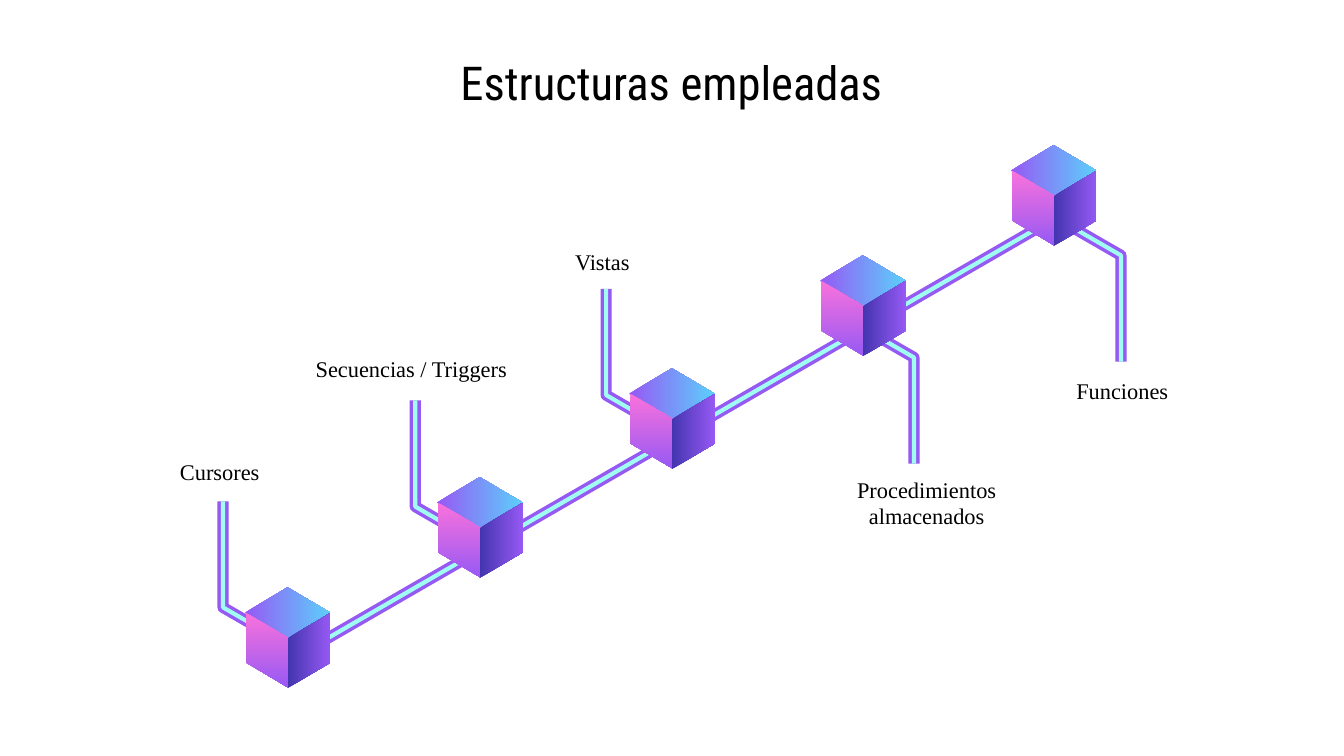
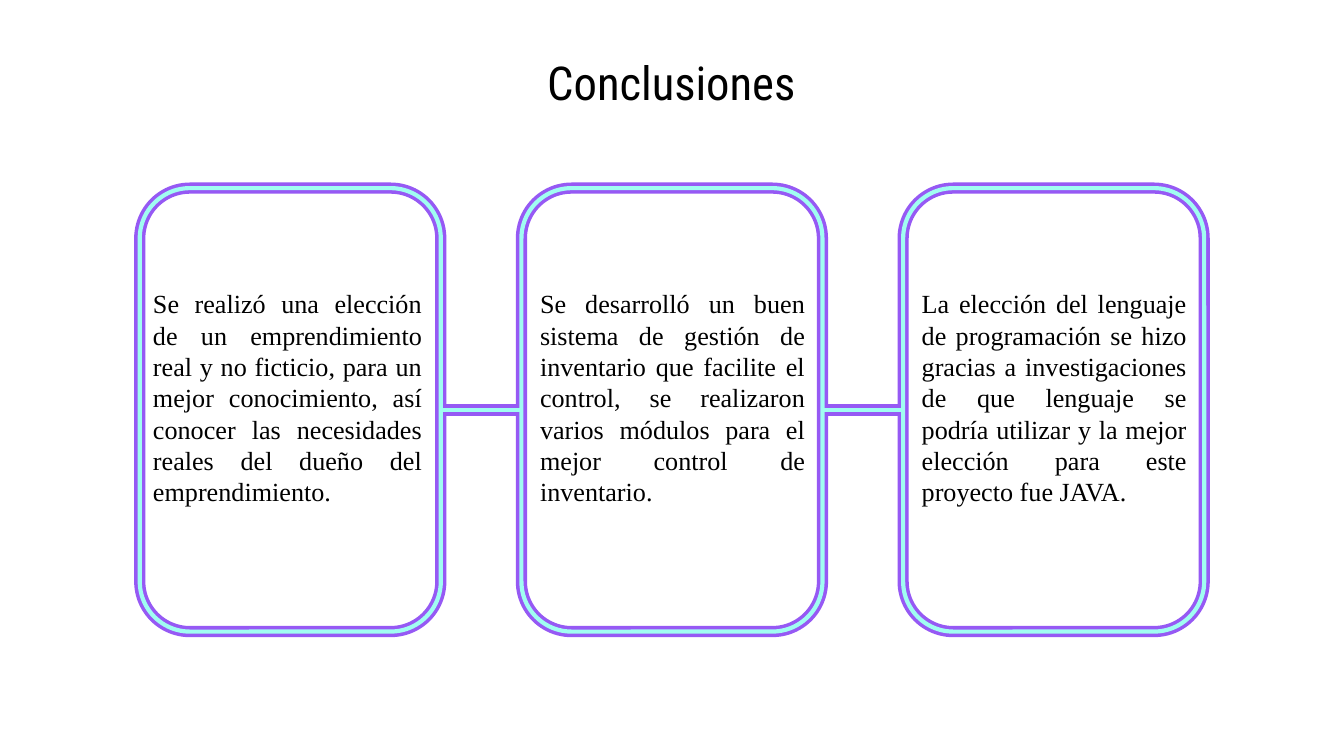
from lxml.etree import SubElement
from pptx import Presentation
from pptx.dml.color import RGBColor
from pptx.enum.shapes import MSO_CONNECTOR, MSO_SHAPE
from pptx.enum.text import MSO_ANCHOR, MSO_AUTO_SIZE, PP_ALIGN
from pptx.oxml.ns import qn
from pptx.util import Inches, Pt

# Content of the staircase: label, its box, alignment, tip of the branch, side, cube top
LEFT, RIGHT = 1, -1
STRUCTURES_TITLE = "Estructuras empleadas"
STRUCTURES = [
    ("Cursores", (1.24, 3.36, 0.99, 0.3), PP_ALIGN.LEFT,
     (1.66, 3.73), LEFT, (2.14, 4.37)),
    ("Secuencias / Triggers", (2.25, 2.59, 1.98, 0.3), PP_ALIGN.LEFT,
     (3.09, 2.98), LEFT, (3.57, 3.55)),
    ("Vistas", (4.18, 1.8, 0.99, 0.3), PP_ALIGN.LEFT,
     (4.51, 2.15), LEFT, (5, 2.74)),
    ("Procedimientos almacenados", (6.27, 3.49, 1.25, 0.5), PP_ALIGN.CENTER,
     (6.8, 3.45), RIGHT, (6.42, 1.9)),
    ("Funciones", (7.91, 2.76, 0.99, 0.3), PP_ALIGN.LEFT,
     (8.34, 2.69), RIGHT, (7.84, 1.08)),
]

# Content of the cards: text, left and width of its box
CONCLUSIONS_TITLE = "Conclusiones"
CONCLUSIONS = [
    ("Se realizó una elección de un emprendimiento real y no ficticio, para un "
     "mejor conocimiento, así conocer las necesidades reales del dueño del "
     "emprendimiento.", 1.04, 2.2),
    ("Se desarrolló un buen sistema de gestión de inventario que facilite el "
     "control, se realizaron varios módulos para el mejor control de inventario.",
     3.92, 2.17),
    ("La elección del lenguaje de programación se hizo gracias a investigaciones "
     "de que lenguaje se podría utilizar y la mejor elección para este proyecto "
     "fue JAVA.", 6.76, 2.17),
]

# Shared style
PAGE_WIDTH = 10
PAGE_HEIGHT = PAGE_WIDTH * 9 / 16
BLACK, VIOLET, MINT = "000000", "9659F4", "A0FDF1"
SKY, PINK, INDIGO = "5CCFFB", "FA72DC", "4335AF"
TUBE = [(VIOLET, 6), (MINT, 2.25)]  # wide line with a thin one on top
TITLE_FONT, BODY_FONT = "Roboto Condensed", "Times New Roman"
TITLE_BOX = (0.56, 0.33, 8.87, 0.56)

# Staircase of cubes; the left face reaches slightly under the right one
SPINE = ((7.82, 1.64), (2.09, 4.95))
HALF, SLOPE, EDGE, OVERLAP = 0.32, 0.19, 0.37, 0.01
CUBE_FACES = [  # outline, gradient colours, angle
    ([(0, 2 * SLOPE), (-HALF, SLOPE), (0, 0), (HALF, SLOPE)], (VIOLET, SKY), 0),
    ([(OVERLAP - HALF, SLOPE), (OVERLAP - HALF, SLOPE + EDGE),
      (OVERLAP, 2 * SLOPE + EDGE), (OVERLAP, 2 * SLOPE)], (PINK, VIOLET), 270),
    ([(HALF, SLOPE), (0, 2 * SLOPE), (0, 2 * SLOPE + EDGE), (HALF, SLOPE + EDGE)],
     (INDIGO, VIOLET), 0),
]
BRANCH_RUN, BRANCH_DROP, BRANCH_HEIGHT = 0.52, 0.79, 1.09

# Row of cards
CARD_LEFT, CARD_TOP, CARD_WIDTH, CARD_HEIGHT, CARD_STEP = 1.04, 1.4, 2.24, 3.3, 2.84
TEXT_TOP, TEXT_HEIGHT = 2.09, 1.75


def color(code):
    return RGBColor.from_string(code)


def lengths(values):
    return [Inches(value) for value in values]


def set_line(shape, code, width):
    shape.line.color.rgb = color(code)
    shape.line.width = Pt(width)


def write(box, text, font, size, align, **frame_format):
    frame = box.text_frame
    for name, value in {"word_wrap": True, **frame_format}.items():
        setattr(frame, name, value)
    para = frame.paragraphs[0]
    para.alignment = align
    span = para.add_run()
    span.text = text
    for name, value in {"name": font, "size": Pt(size), "bold": False}.items():
        setattr(span.font, name, value)
    span.font.color.rgb = color(BLACK)


def add_page(deck, title):
    page = deck.slides.add_slide(deck.slide_layouts[5])
    holder = page.shapes.title
    for name, value in zip(("left", "top", "width", "height"), lengths(TITLE_BOX)):
        setattr(holder, name, value)
    margins = {"margin_" + side: Inches(0.1) for side in ("left", "top", "right", "bottom")}
    write(holder, title, TITLE_FONT, 25, PP_ALIGN.CENTER, auto_size=MSO_AUTO_SIZE.NONE,
          vertical_anchor=MSO_ANCHOR.MIDDLE, **margins)
    return page


def add_text(page, text, place, size, align):
    box = page.shapes.add_textbox(*lengths(place))
    write(box, text, BODY_FONT, size, align, auto_size=MSO_AUTO_SIZE.SHAPE_TO_FIT_TEXT)


def add_outline(page, points, close):
    corners = [lengths(point) for point in points]
    builder = page.shapes.build_freeform(*corners[0])
    builder.add_line_segments(corners[1:], close=close)
    shape = builder.convert_to_shape()
    shape.shadow.inherit = False
    return shape


def add_line(page, start, end, code, width):
    line = page.shapes.add_connector(MSO_CONNECTOR.STRAIGHT, *lengths(start + end))
    set_line(line, code, width)
    SubElement(line._element.spPr, qn("a:effectLst"))
    return line


def add_branch(page, tip, side):
    x, y = tip
    points = [(x + side * BRANCH_RUN, y + side * BRANCH_HEIGHT),
              (x, y + side * BRANCH_DROP), tip]
    for code, width in TUBE:
        branch = add_outline(page, points, close=False)
        branch.fill.background()
        set_line(branch, code, width)


def add_cube(page, x, y):
    for corners, codes, angle in CUBE_FACES:
        face = add_outline(page, [(x + dx, y + dy) for dx, dy in corners], close=True)
        face.line.fill.background()
        face.fill.gradient()
        face.fill.gradient_angle = angle
        for stop, code in zip(face.fill.gradient_stops, codes):
            stop.color.rgb = color(code)


def add_card(page, left, code, width):
    card = page.shapes.add_shape(
        MSO_SHAPE.ROUNDED_RECTANGLE, *lengths((left, CARD_TOP, CARD_WIDTH, CARD_HEIGHT)))
    card.shadow.inherit = False
    card.fill.background()
    set_line(card, code, width)
    return card


def build_structures(deck):
    page = add_page(deck, STRUCTURES_TITLE)
    # Branches and spine lie behind the cubes
    for _, _, _, tip, side, _ in STRUCTURES:
        add_branch(page, tip, side)
    for code, width in TUBE:
        add_line(page, *SPINE, code, width)
    for label, place, align, _, _, cube_top in STRUCTURES:
        add_cube(page, *cube_top)
        add_text(page, label, place, 12, align)


def build_conclusions(deck):
    page = add_page(deck, CONCLUSIONS_TITLE)
    # Each layer of the tube holds the cards and the links between them
    for code, width in TUBE:
        cards = [add_card(page, CARD_LEFT + index * CARD_STEP, code, width)
                 for index in range(len(CONCLUSIONS))]
        for card, following in zip(cards, cards[1:]):
            link = add_line(page, (0, 0), (1, 0), code, width)
            link.begin_connect(following, 1)
            link.end_connect(card, 3)
    for text, left, width in CONCLUSIONS:
        add_text(page, text, (left, TEXT_TOP, width, TEXT_HEIGHT), 14, PP_ALIGN.JUSTIFY)


def main():
    deck = Presentation()
    deck.slide_width, deck.slide_height = lengths((PAGE_WIDTH, PAGE_HEIGHT))
    build_structures(deck)
    build_conclusions(deck)
    deck.save("out.pptx")


if __name__ == "__main__":
    main()
